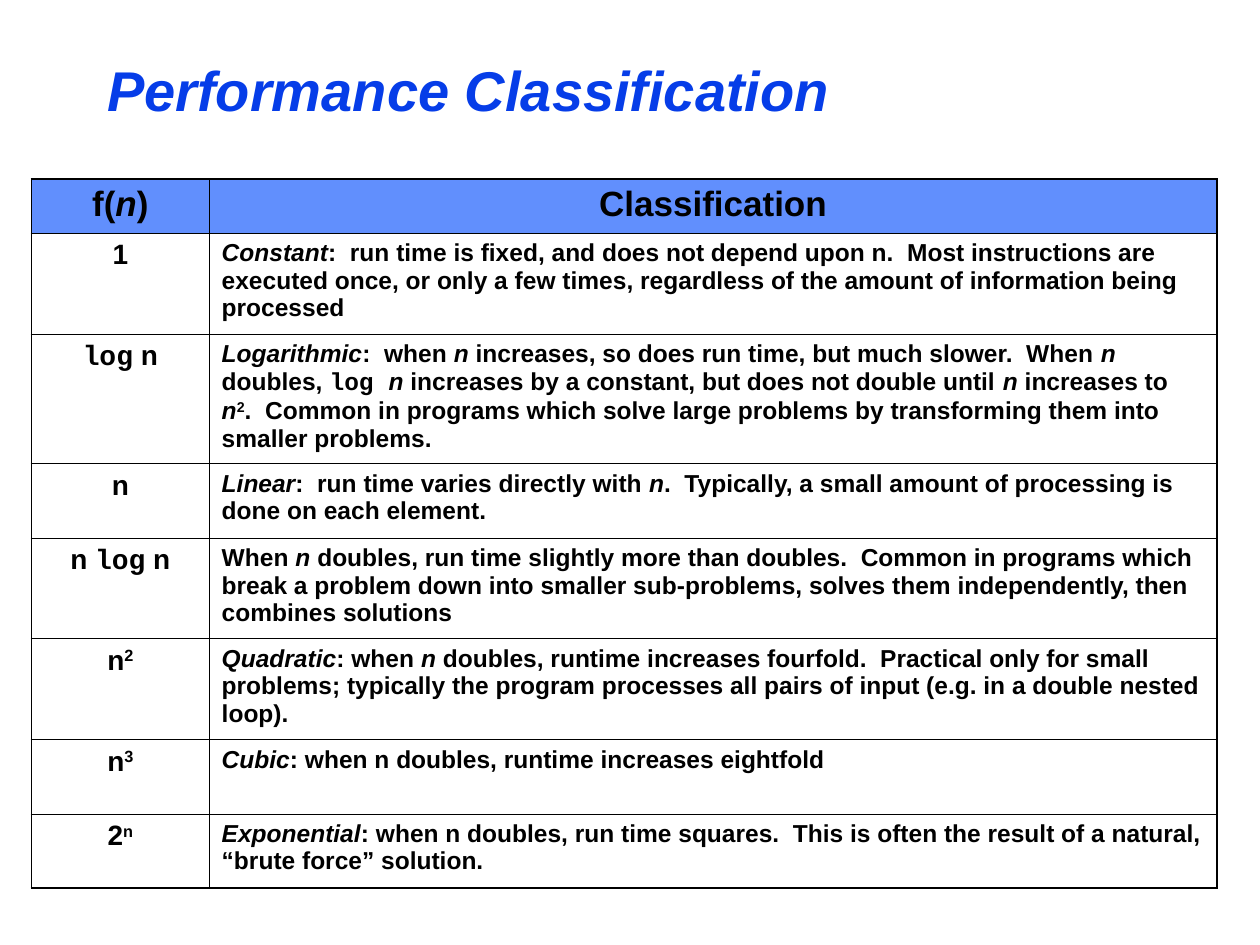
from dataclasses import dataclass

from lxml.etree import SubElement as Sub
from pptx import Presentation
from pptx.dml.color import RGBColor as RGB
from pptx.enum.text import MSO_ANCHOR as Anchor, MSO_AUTO_SIZE as Fit, PP_ALIGN as Align
from pptx.oxml.ns import qn
from pptx.util import Inches, Pt


@dataclass(frozen=True)
class Theme:
    sans: str = "Arial"
    mono: str = "Courier New"
    ink: str = "000000"
    title: str = "063DE8"
    head: str = "618FFD"
    title_pt: int = 32
    head_pt: int = 20
    key_pt: int = 16
    body_pt: int = 14
    outer: float = 1.08
    inner: float = 0.45


THEME = Theme()
ITAL, MONO, SUP = "italic", "mono", "super"
N = ("n", ITAL)

# A run is plain text, or a pair of text and style.
TITLE = [("Performance Classification", ITAL)]
HEAD = (["f(", N, ")"], ["Classification"])
ROWS = [
    (["1"],
     [("Constant", ITAL),
      ":  run time is fixed, and does not depend upon n.  Most instructions are "
      "executed once, or only a few times, regardless of the amount of "
      "information being processed"]),
    ([("log", MONO), " n"],
     [("Logarithmic", ITAL), ":  when ", N,
      " increases, so does run time, but much slower.  When ", N, " doubles, ",
      ("log ", MONO), N,
      " increases by a constant, but does not double until ", N,
      " increases to ", N, ("2", SUP),
      ".  Common in programs which solve large problems by transforming them "
      "into smaller problems."]),
    (["n"],
     [("Linear", ITAL), ":  run time varies directly with", (" n", ITAL),
      ".  Typically, a small amount of processing is done on each element."]),
    (["n ", ("log", MONO), " n"],
     ["When ", N,
      " doubles, run time slightly more than doubles.  Common in programs which "
      "break a problem down into smaller sub-problems, solves them "
      "independently, then combines solutions"]),
    (["n", ("2", SUP)],
     [("Quadratic", ITAL), ": when ", ("n ", ITAL),
      "doubles, runtime increases fourfold.  Practical only for small problems; "
      "typically the program processes all pairs of input (e.g. in a double "
      "nested loop)."]),
    (["n", ("3", SUP)],
     [("Cubic", ITAL), ": when n doubles, runtime increases eightfold"]),
    (["2", ("n", SUP)],
     [("Exponential", ITAL),
      ": when n doubles, run time squares.  This is often the result of a "
      "natural, “brute force” solution."]),
]
COLS = (1.41, 8)
HIGH = (0.43, 0.8, 1.03, 0.59, 0.8, 0.8, 0.59, 0.59)


def write(frame, runs, size, color=THEME.ink, align=Align.LEFT):
    para = frame.paragraphs[0]
    para.alignment = align
    para.space_before = Pt(0)
    for item in runs:
        text, style = (item, None) if isinstance(item, str) else item
        run = para.add_run()
        run.text = text
        font = run.font
        font.name = THEME.mono if style == MONO else THEME.sans
        font.size, font.bold, font.italic = Pt(size), True, style == ITAL
        font.color.rgb = RGB.from_string(color)
        if style == SUP:
            run._r.get_or_add_rPr().set("baseline", "30000")


def rule(cell, edges):
    """Draw the cell's borders; edges maps each side to whether it is outer."""
    props = cell._tc.get_or_add_tcPr()
    for side, outer in edges.items():
        width = Pt(THEME.outer if outer else THEME.inner)
        line = Sub(props, qn(f"a:ln{side}"), w=str(width))
        Sub(Sub(line, qn("a:solidFill")), qn("a:srgbClr"), val=THEME.ink)


def add_grid(slide):
    data = [HEAD, *ROWS]
    last = len(data) - 1
    table = slide.shapes.add_table(
        len(data), len(COLS), Inches(0.25), Inches(1.42),
        Inches(sum(COLS)), Inches(sum(HIGH))).table
    table.first_row = table.horz_banding = False
    for col, width in zip(table.columns, COLS):
        col.width = Inches(width)
    for row, height in zip(table.rows, HIGH):
        row.height = Inches(height)
    for i, pair in enumerate(data):
        for j, runs in enumerate(pair):
            cell = table.cell(i, j)
            rule(cell, {"L": j == 0, "R": j == 1, "T": i == 0, "B": i == last})
            if i == 0:
                cell.fill.solid()
                cell.fill.fore_color.rgb = RGB.from_string(THEME.head)
                size = THEME.head_pt
            else:
                cell.fill.background()
                size = THEME.body_pt if j else THEME.key_pt
            align = Align.LEFT if i and j else Align.CENTER
            write(cell.text_frame, runs, size, align=align)


def main():
    deck = Presentation()
    deck.slide_width, deck.slide_height = Inches(10), Inches(7.5)
    slide = deck.slides.add_slide(deck.slide_layouts[5])
    title = slide.shapes.title
    title.left, title.top = Inches(0.75), Inches(0.33)
    title.width, title.height = Inches(8.5), Inches(0.75)
    frame = title.text_frame
    frame.auto_size, frame.vertical_anchor = Fit.NONE, Anchor.MIDDLE
    write(frame, TITLE, THEME.title_pt, THEME.title)
    add_grid(slide)
    deck.save("out.pptx")


if __name__ == "__main__":
    main()
